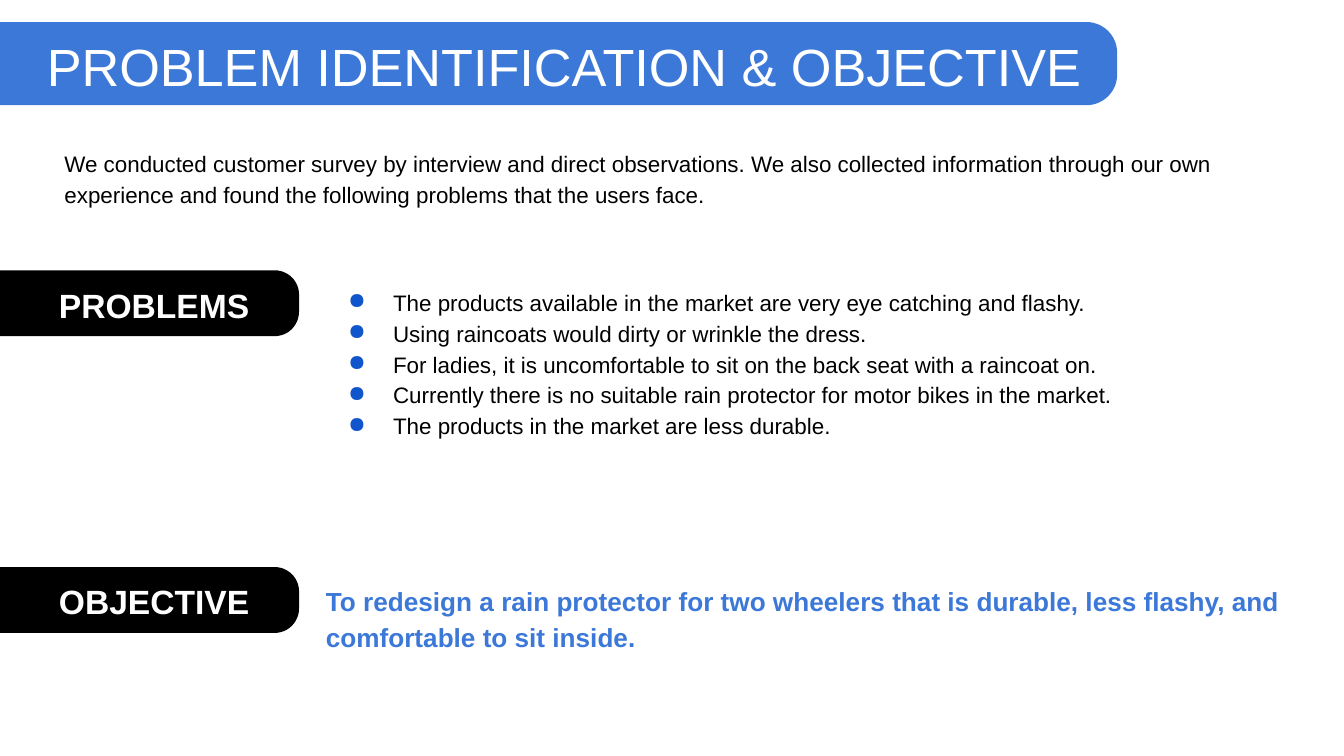
"""Build the problem identification and objective slide."""
import pptx
import pptx.dml.color
import pptx.enum.shapes
import pptx.enum.text
import pptx.oxml
import pptx.oxml.ns
import pptx.util

Pt = pptx.util.Pt
COLOURS = {"blue": "3C78D8", "bullet": "1155CC", "black": "000000", "white": "FFFFFF"}


def add_text(text, left, top, width, height, size, colour, bold=False,
             spacing=1.0, bullet=None):
    box = page.shapes.add_textbox(Pt(left), Pt(top), Pt(width), Pt(height))
    frame = box.text_frame
    frame.word_wrap = True
    frame.vertical_anchor = pptx.enum.text.MSO_ANCHOR.TOP
    frame.margin_left = frame.margin_right = Pt(7.2)
    frame.margin_top = frame.margin_bottom = Pt(7.2)
    for index, line in enumerate(text.split("\n")):
        para = frame.paragraphs[0] if index == 0 else frame.add_paragraph()
        para.line_spacing = spacing
        if bullet:
            settings = para._p.get_or_add_pPr()
            settings.set("marL", str(Pt(36)))
            settings.set("indent", str(-Pt(24)))
            namespace = pptx.oxml.ns.nsdecls("a")
            for markup in (
                f'<a:buClr {namespace}><a:srgbClr val="{COLOURS["bullet"]}"/></a:buClr>',
                f'<a:buChar {namespace} char="{bullet}"/>',
            ):
                settings.append(pptx.oxml.parse_xml(markup))
        span = para.add_run()
        span.text = line
        span.font.name = "Arial"
        span.font.size = Pt(size)
        span.font.bold = bold
        span.font.color.rgb = pptx.dml.color.RGBColor.from_string(COLOURS[colour])


deck = pptx.Presentation()
deck.slide_width, deck.slide_height = Pt(720), Pt(405)
page = deck.slides.add_slide(deck.slide_layouts[6])

for top, length, depth, colour in (
    (303.8, 160.2, 35.3, "black"),
    (144.8, 160.2, 35.3, "black"),
    (11.8, 598.5, 44.6, "blue"),
):
    banner = page.shapes.add_shape(
        pptx.enum.shapes.MSO_SHAPE.ROUND_2_SAME_RECTANGLE,
        Pt((length - depth) / 2), Pt(top + (depth - length) / 2), Pt(depth), Pt(length))
    banner.rotation = 90
    banner.adjustments[0] = 0.37
    banner.adjustments[1] = 0
    banner.shadow.inherit = False
    banner.fill.solid()
    banner.fill.fore_color.rgb = pptx.dml.color.RGBColor.from_string(COLOURS[colour])
    banner.line.fill.background()

add_text("PROBLEM IDENTIFICATION & OBJECTIVE", left=18, top=11, width=570, height=45,
         size=28, colour="white")
for label, top, height in (("PROBLEMS", 145.4, 25), ("OBJECTIVE", 303.8, 38)):
    add_text(label, left=24.5, top=top, width=143, height=height,
             size=18, colour="white", bold=True)

add_text("We conducted customer survey by interview and direct observations. "
         "We also collected information through our own experience and found "
         "the following problems that the users face.",
         left=27.4, top=71.3, width=669, height=52.5, size=12, colour="black", spacing=1.15)
add_text("The products available in the market are very eye catching and flashy.\n"
         "Using raincoats would dirty or wrinkle the dress.\n"
         "For ladies, it is uncomfortable to sit on the back seat with a raincoat on.\n"
         "Currently there is no suitable rain protector for motor bikes in the market.\n"
         "The products in the market are less durable.",
         left=167.5, top=145.4, width=528.5, height=114.5, size=12, colour="black",
         spacing=1.15, bullet="●")
add_text("To redesign a rain protector for two wheelers that is durable, less flashy, "
         "and comfortable to sit inside.",
         left=167.5, top=303.8, width=528.5, height=57, size=14, colour="blue",
         bold=True, spacing=1.15)

deck.save("out.pptx")
